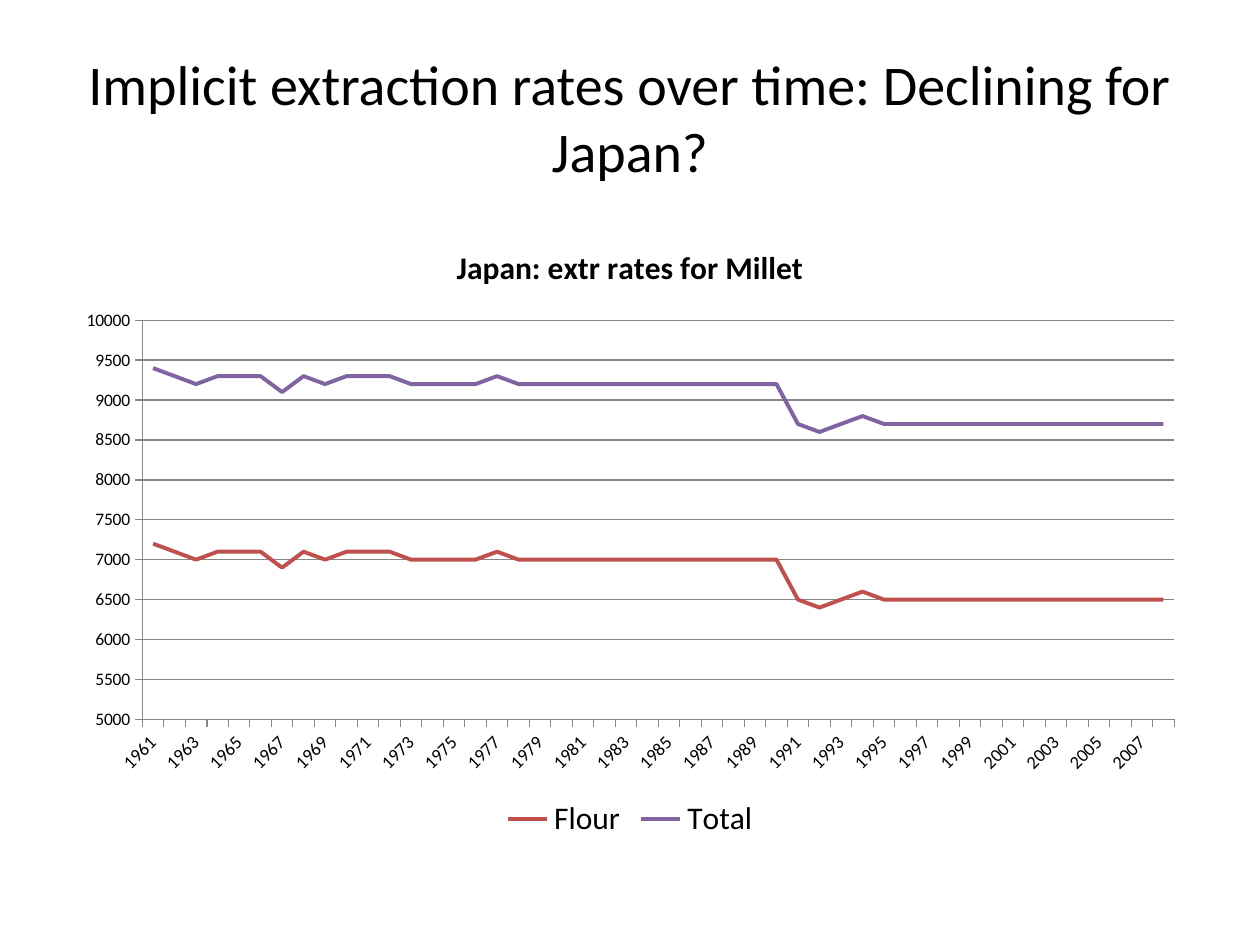
from lxml import etree
from pptx import Presentation
from pptx.chart.data import CategoryChartData
from pptx.dml.color import RGBColor
from pptx.enum.chart import (XL_CHART_TYPE, XL_LEGEND_POSITION,
                             XL_MARKER_STYLE, XL_TICK_MARK)
from pptx.enum.text import MSO_ANCHOR, PP_ALIGN
from pptx.oxml.ns import qn
from pptx.util import Inches, Pt

LINE = XL_CHART_TYPE.LINE
BOTTOM = XL_LEGEND_POSITION.BOTTOM
PLAIN = XL_MARKER_STYLE.NONE
OUT = XL_TICK_MARK.OUTSIDE
MIDDLE = MSO_ANCHOR.MIDDLE
CENTER = PP_ALIGN.CENTER

BLACK = RGBColor(0x00, 0x00, 0x00)
GRAY = RGBColor(0x87, 0x87, 0x87)
RED = RGBColor(0xC0, 0x50, 0x4D)
PURPLE = RGBColor(0x80, 0x64, 0xA2)

YEARS = [str(year) for year in range(1961, 2009)]
FLOUR = [
    7200, 7100, 7000, 7100, 7100, 7100, 6900, 7100, 7000, 7100, 7100, 7100,
    7000, 7000, 7000, 7000, 7100, 7000, 7000, 7000, 7000, 7000, 7000, 7000,
    7000, 7000, 7000, 7000, 7000, 7000, 6500, 6400, 6500, 6600, 6500, 6500,
    6500, 6500, 6500, 6500, 6500, 6500, 6500, 6500, 6500, 6500, 6500, 6500,
]
TOTAL = [rate + 2200 for rate in FLOUR]
SERIES = [("Flour", FLOUR, RED), ("Total", TOTAL, PURPLE)]


class Deck:
    face = "Calibri"
    wide = Inches(10)
    high = Inches(7.5)

    def __init__(self):
        self.prs = Presentation()
        self.prs.slide_width = self.wide
        self.prs.slide_height = self.high
        self.slide = self.prs.slides.add_slide(self.prs.slide_layouts[6])

    def place(self, x, y, w, h):
        return (int(x * self.wide), int(y * self.high),
                int(w * self.wide), int(h * self.high))

    def style(self, font, size, bold=False):
        font.name = self.face
        font.size = Pt(size)
        font.bold = bold
        font.color.rgb = BLACK

    def text(self, words, size, *box):
        frame = self.slide.shapes.add_textbox(*self.place(*box)).text_frame
        frame.word_wrap = True
        frame.vertical_anchor = MIDDLE
        para = frame.paragraphs[0]
        para.text = words
        para.alignment = CENTER
        self.style(para.font, size)

    def chart(self, title, names, series, *box):
        data = CategoryChartData(number_format="0")
        data.categories = names
        for name, rates, _ in series:
            data.add_series(name, rates)
        chart = self.slide.shapes.add_chart(LINE, *self.place(*box), data).chart
        self.style(chart.font, 10)
        chart.has_title = True
        chart.chart_title.include_in_layout = False
        head = chart.chart_title.text_frame.paragraphs[0]
        head.text = title
        self.style(head.font, 18, True)
        chart.has_legend = True
        chart.legend.position = BOTTOM
        chart.legend.include_in_layout = False
        self.style(chart.legend.font, 18)
        plot = chart.plots[0]
        plot.vary_by_categories = False
        for line, (_, _, color) in zip(plot.series, series):
            line.smooth = False
            line.format.line.color.rgb = color
            line.format.line.width = Pt(2.25)
            line.marker.style = PLAIN
        self.axis(chart.category_axis, 10.5)
        self.axis(chart.value_axis, 10)
        self.slant(chart.category_axis)
        scale = chart.value_axis
        scale.minimum_scale = 5000
        scale.maximum_scale = 10000
        scale.major_unit = 500
        scale.has_major_gridlines = True
        scale.major_gridlines.format.line.color.rgb = GRAY
        scale.major_gridlines.format.line.width = Pt(0.75)
        scale.tick_labels.number_format = "0"
        scale.tick_labels.number_format_is_linked = False
        self.inner(chart, x=0.07, y=0.16, w=0.91, h=0.64)

    def axis(self, axis, size):
        axis.major_tick_mark = OUT
        axis.format.line.color.rgb = GRAY
        axis.format.line.width = Pt(0.75)
        self.style(axis.tick_labels.font, size)

    def slant(self, axis):
        node = axis._element
        node.find(qn("c:txPr")).find(qn("a:bodyPr")).set("rot", "-2700000")
        skip = etree.Element(qn("c:tickLblSkip"), val="2")
        node.find(qn("c:lblOffset")).addnext(skip)

    def inner(self, chart, **shares):
        area = chart._chartSpace.find(qn("c:chart")).find(qn("c:plotArea"))
        for old in area.findall(qn("c:layout")):
            area.remove(old)
        layout = etree.Element(qn("c:layout"))
        area.insert(0, layout)
        manual = etree.SubElement(layout, qn("c:manualLayout"))
        rules = {"layoutTarget": "inner", "xMode": "edge", "yMode": "edge"}
        for key, share in {**rules, **shares}.items():
            etree.SubElement(manual, qn("c:" + key), val=str(share))


def main():
    deck = Deck()
    deck.text("Implicit extraction rates over time: Declining for Japan?",
              32, 0.05, 0.04, 0.9, 1 / 6)
    deck.chart("Japan: extr rates for Millet", YEARS, SERIES,
               0.05, 7 / 30, 0.9, 0.66)
    deck.prs.save("out.pptx")


if __name__ == "__main__":
    main()
